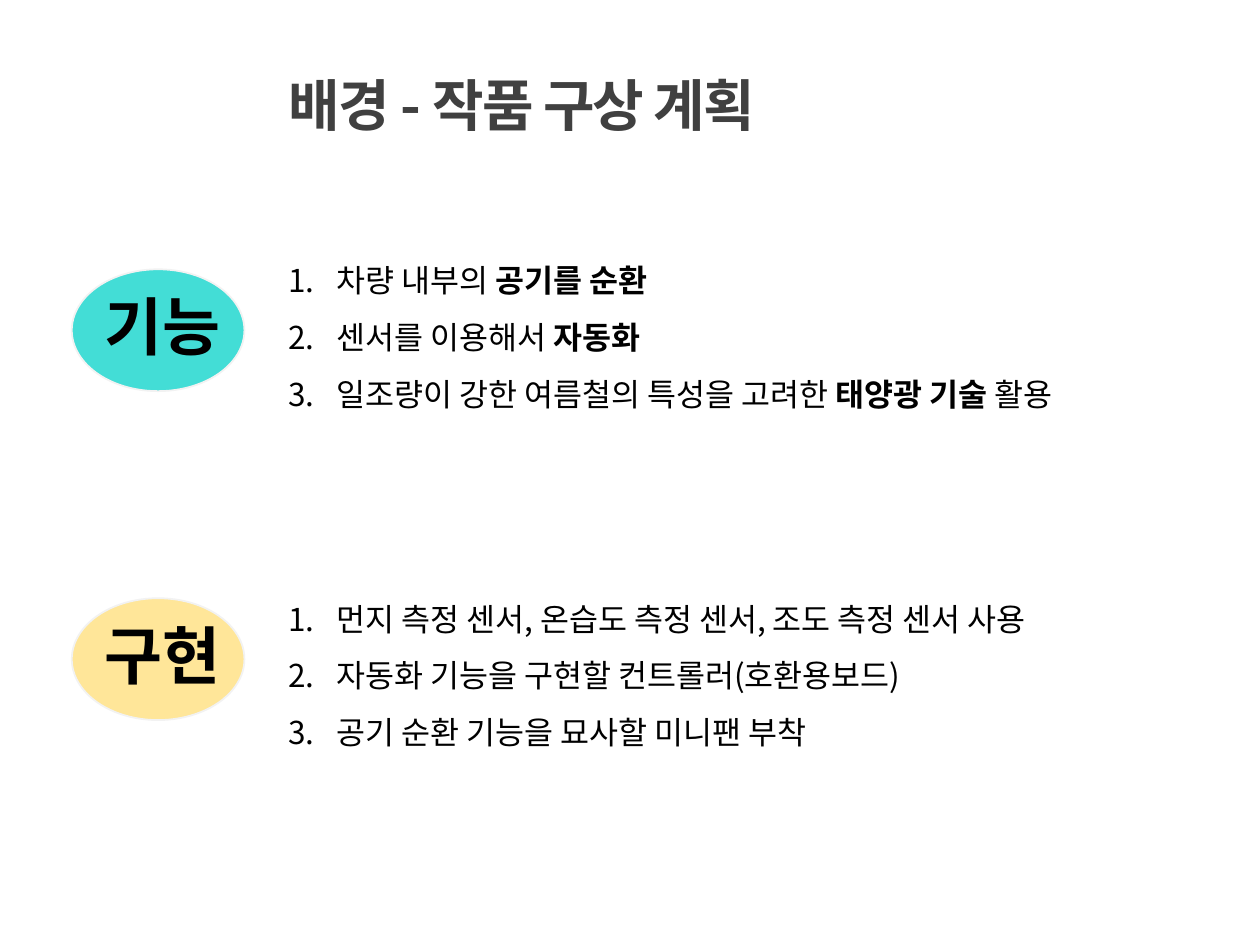
from dataclasses import dataclass

from lxml.etree import SubElement
from pptx import Presentation
from pptx.dml.color import RGBColor
from pptx.enum.shapes import MSO_SHAPE
from pptx.enum.text import MSO_ANCHOR, MSO_AUTO_SIZE
from pptx.oxml.ns import qn
from pptx.util import Inches, Pt

FONT = "Noto Sans CJK KR"
BLACK = RGBColor(0x00, 0x00, 0x00)
GRAY = RGBColor(0x40, 0x40, 0x40)
PALE = RGBColor(0xF2, 0xF2, 0xF2)
TEAL = RGBColor(0x43, 0xDD, 0xD6)
SAND = RGBColor(0xFF, 0xE6, 0x99)

WIDE, HIGH = 10, 7.5
OVAL_X, LABEL_X, TEXT_X = 0.057, 0.073, 0.219


@dataclass
class Part:
    label: str
    fill: RGBColor
    top: float
    items: list[list[str]]


# Odd runs of an item are bold.
PARTS = [
    Part("기능", TEAL, 0.285, [
        ["차량 내부의 ", "공기를 순환"],
        ["센서를 이용해서 ", "자동화"],
        ["일조량이 강한 여름철의 특성을 고려한 ", "태양광 기술 ", "활용"],
    ]),
    Part("구현", SAND, 0.633, [
        ["먼지 측정 센서, 온습도 측정 센서, 조도 측정 센서 사용"],
        ["자동화 기능을 구현할 컨트롤러(호환용보드)"],
        ["공기 순환 기능을 묘사할 미니팬 부착"],
    ]),
]


def place(x: float, y: float, w: float, h: float) -> list:
    return [Inches(x * WIDE), Inches(y * HIGH), Inches(w * WIDE), Inches(h * HIGH)]


def add_box(slide, x: float, y: float, w: float, h: float):
    frame = slide.shapes.add_textbox(*place(x, y, w, h)).text_frame
    frame.word_wrap = True
    return frame


def style(para, size: int, color: RGBColor, bold: bool = False):
    font = para.font
    font.name, font.size, font.bold = FONT, Pt(size), bold
    font.color.rgb = color
    props = para._p.get_or_add_pPr().find(qn("a:defRPr"))
    SubElement(props, qn("a:ea")).set("typeface", FONT)
    return props


def add_title(slide, text: str) -> None:
    frame = add_box(slide, TEXT_X, 0.057, 0.734, 0.115)
    frame.vertical_anchor = MSO_ANCHOR.MIDDLE
    para = frame.paragraphs[0]
    para.text = text
    para.line_spacing = 0.9
    style(para, 32, GRAY, True).set("spc", "-100")


def add_oval(slide, part: Part) -> None:
    oval = slide.shapes.add_shape(MSO_SHAPE.OVAL, *place(OVAL_X, part.top, 0.137, 0.129))
    oval.shadow.inherit = False
    oval.fill.solid()
    oval.fill.fore_color.rgb = part.fill
    oval.line.color.rgb = PALE
    oval.line.width = Pt(1)


def add_label(slide, part: Part) -> None:
    frame = add_box(slide, LABEL_X, part.top + 0.013, 0.348, 0.095)
    frame.auto_size = MSO_AUTO_SIZE.SHAPE_TO_FIT_TEXT
    para = frame.paragraphs[0]
    para.text = part.label
    style(para, 36, BLACK, True)


def add_list(slide, part: Part) -> None:
    frame = add_box(slide, TEXT_X, part.top - 0.035 + 0.01 * (part is PARTS[1]), 0.812, 0.188)
    frame.auto_size = MSO_AUTO_SIZE.SHAPE_TO_FIT_TEXT
    for row, item in enumerate(part.items):
        para = frame.add_paragraph() if row else frame.paragraphs[0]
        para.line_spacing = 1.5
        props = para._p.get_or_add_pPr()
        props.set("marL", str(Inches(0.38)))
        props.set("indent", str(-Inches(0.38)))
        SubElement(props, qn("a:buFont")).set("typeface", "+mj-lt")
        SubElement(props, qn("a:buAutoNum")).set("type", "arabicPeriod")
        style(para, 18, BLACK)
        for col, text in enumerate(item):
            run = para.add_run()
            run.text = text
            run.font.bold = col % 2 == 1


def main() -> None:
    deck = Presentation()
    deck.slide_width, deck.slide_height = Inches(WIDE), Inches(HIGH)
    slide = deck.slides.add_slide(deck.slide_layouts[6])
    add_title(slide, "배경 - 작품 구상 계획")
    for part in PARTS:
        add_oval(slide, part)
        add_list(slide, part)
        add_label(slide, part)
    deck.save("out.pptx")


if __name__ == "__main__":
    main()
